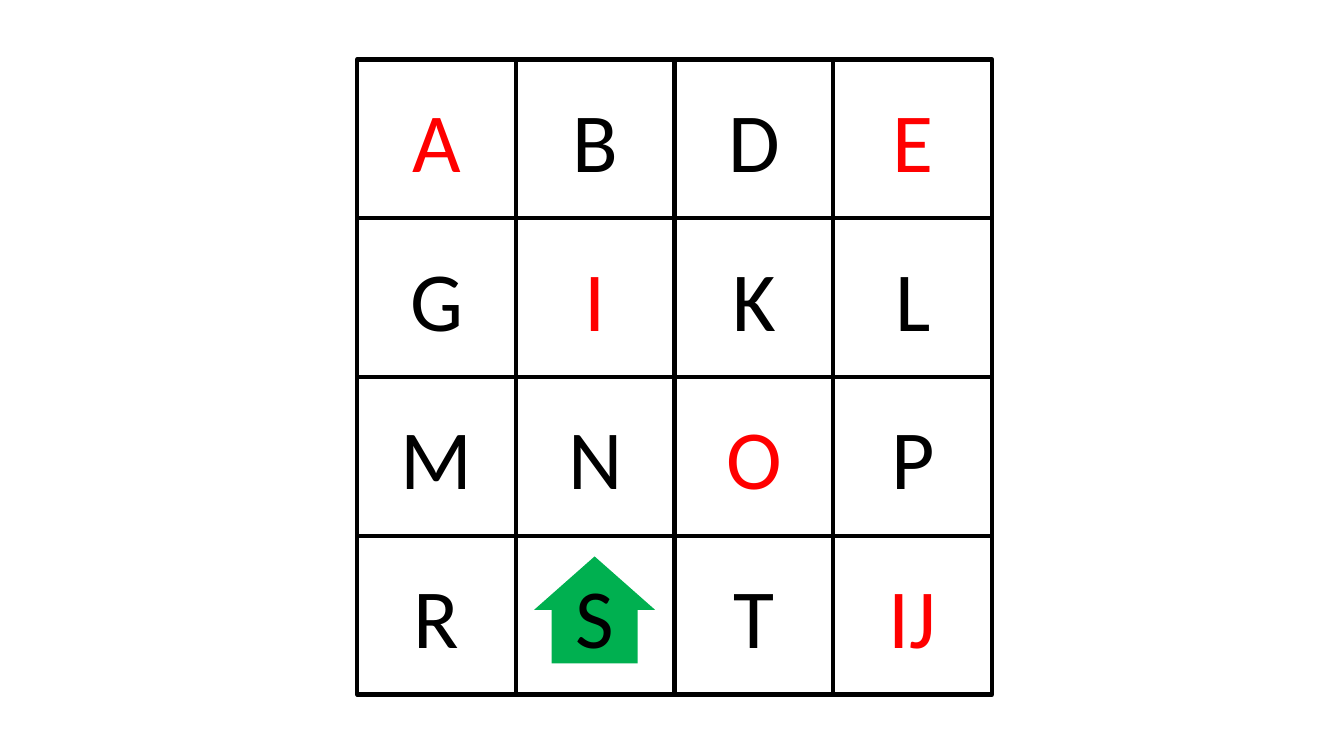
from dataclasses import dataclass

from pptx import Presentation
from pptx.dml.color import RGBColor
from pptx.enum.shapes import MSO_SHAPE
from pptx.enum.text import MSO_ANCHOR, PP_ALIGN
from pptx.slide import Slide
from pptx.util import Pt

RECTANGLE = MSO_SHAPE.RECTANGLE
RIGHT_ARROW = MSO_SHAPE.RIGHT_ARROW
MIDDLE = MSO_ANCHOR.MIDDLE
CENTER = PP_ALIGN.CENTER


@dataclass(frozen=True)
class Theme:
    font: str = "Calibri"
    letter_size: float = 60
    border_width: float = 3
    paper: RGBColor = RGBColor(0xFF, 0xFF, 0xFF)
    ink: RGBColor = RGBColor(0x00, 0x00, 0x00)
    vowel: RGBColor = RGBColor(0xFF, 0x00, 0x00)
    arrow: RGBColor = RGBColor(0x00, 0xB0, 0x50)


@dataclass(frozen=True)
class Tile:
    letter: str
    row: int
    column: int


THEME = Theme()
TILE_SIDE = 113.39
GRID_LEFT, GRID_TOP = 255.12, 42.52
LETTER_ROWS = (
    ("A", "B", "D", "E"),
    ("G", "I", "K", "L"),
    ("M", "N", "O", "P"),
    ("R", "S", "T", "IJ"),
)
VOWELS = {"A", "E", "I", "O", "IJ"}
CLEAR_TILES = {"B", "S"}


def add_up_arrow(page: Slide) -> None:
    arrow = page.shapes.add_shape(
        RIGHT_ARROW, Pt(386.6), Pt(392.4), Pt(76.3), Pt(86.4))
    arrow.rotation = 270
    arrow.adjustments[0] = 0.71
    arrow.adjustments[1] = 0.5
    arrow.shadow.inherit = False
    arrow.fill.solid()
    arrow.fill.fore_color.rgb = THEME.arrow
    arrow.line.fill.background()


def add_tile(page: Slide, tile: Tile) -> None:
    box = page.shapes.add_shape(
        RECTANGLE,
        Pt(GRID_LEFT + tile.column * TILE_SIDE),
        Pt(GRID_TOP + tile.row * TILE_SIDE),
        Pt(TILE_SIDE), Pt(TILE_SIDE))
    box.shadow.inherit = False
    if tile.letter in CLEAR_TILES:
        box.fill.background()
    else:
        box.fill.solid()
        box.fill.fore_color.rgb = THEME.paper
    box.line.color.rgb = THEME.ink
    box.line.width = Pt(THEME.border_width)

    box.text_frame.vertical_anchor = MIDDLE
    para = box.text_frame.paragraphs[0]
    para.alignment = CENTER
    span = para.add_run()
    span.text = tile.letter
    span.font.name = THEME.font
    span.font.size = Pt(THEME.letter_size)
    span.font.color.rgb = THEME.vowel if tile.letter in VOWELS else THEME.ink


# Deck with one blank page
deck = Presentation()
deck.slide_width, deck.slide_height = Pt(960), Pt(540)
page = deck.slides.add_slide(deck.slide_layouts[6])

# Arrow behind the clear S tile
add_up_arrow(page)

# Letter grid
for row, letters in enumerate(LETTER_ROWS):
    for column, letter in enumerate(letters):
        add_tile(page, Tile(letter, row, column))

deck.save("out.pptx")
